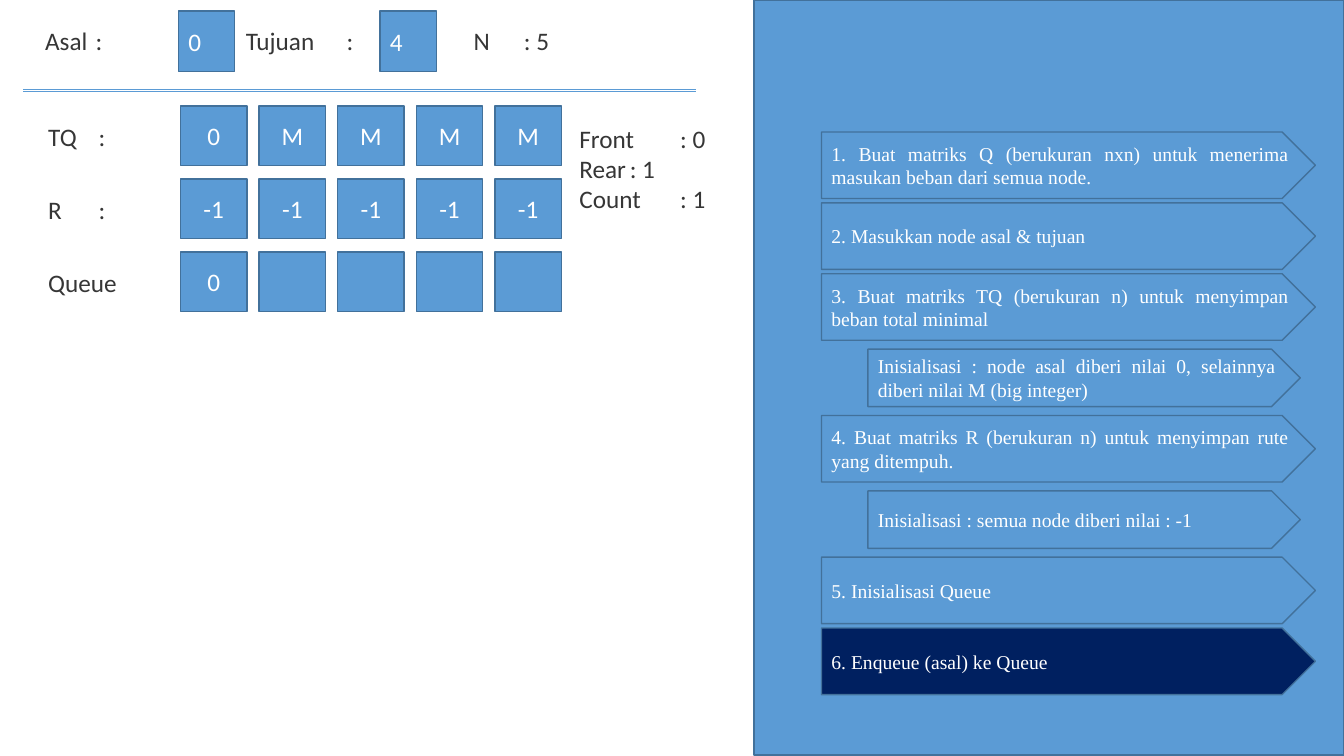
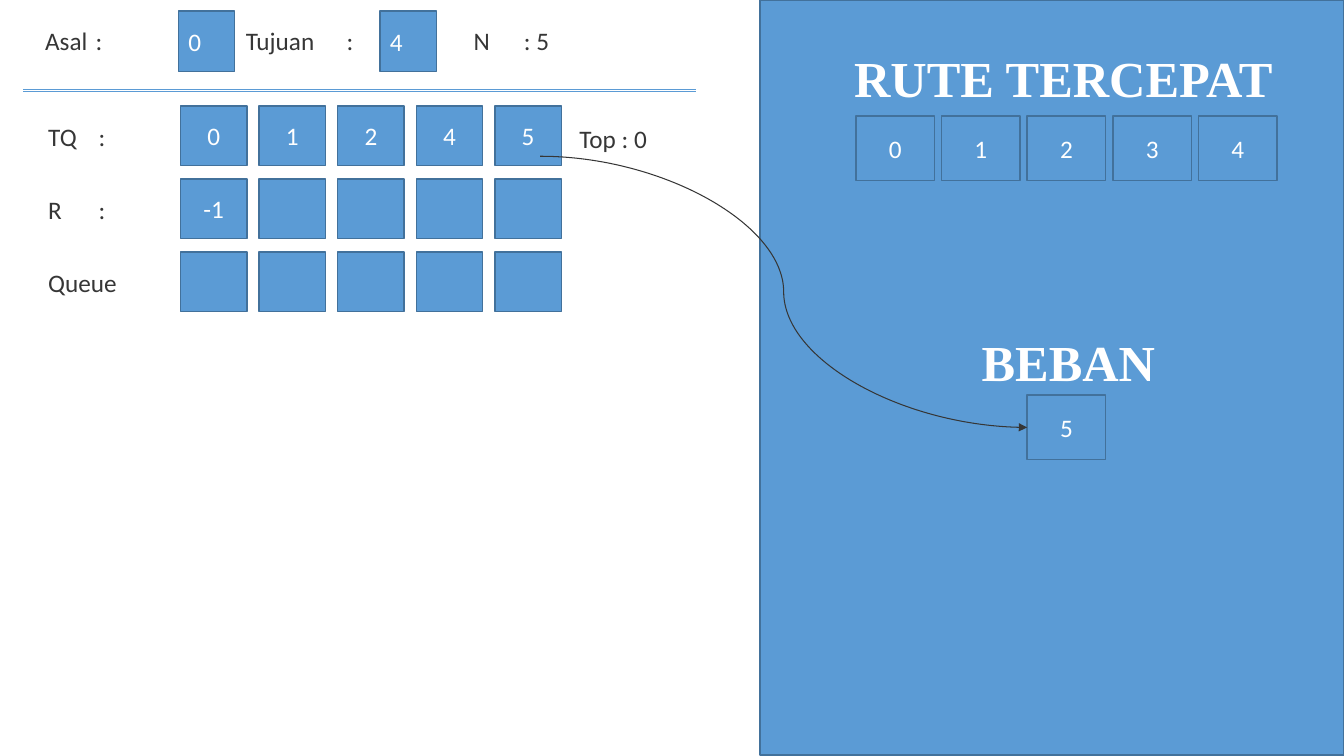
from pptx import Presentation, util as u
from pptx.dml.color import RGBColor
from pptx.enum import shapes, text
from pptx.oxml.ns import qn
from lxml import etree

BLUE = RGBColor(0x5B, 0x9B, 0xD5)
EDGE = RGBColor(0x42, 0x71, 0x9B)
NAVY = RGBColor(0x00, 0x20, 0x60)
DARK = RGBColor(0x36, 0x36, 0x36)
WHITE = RGBColor(0xFF, 0xFF, 0xFF)
SANS, SERIF = "Calibri", "Times New Roman"
RECT, ARROW = shapes.MSO_SHAPE.RECTANGLE, shapes.MSO_SHAPE.PENTAGON
LEFT, MID, FULL = text.PP_ALIGN.LEFT, text.PP_ALIGN.CENTER, text.PP_ALIGN.JUSTIFY

UNIT = u.Inches(0.1)
COLS, ROWS = 133.33, 75
HEAD = (2.3, 0, 66.7, 9)
TABLE = (3.8, 10.5, 52, 20.5)
STATE = (56.5, 11.7, 19, 10)
STEPS = [
    "1. Buat matriks Q (berukuran nxn) untuk menerima masukan beban dari semua node.",
    "2. Masukkan node asal & tujuan",
    "3. Buat matriks TQ (berukuran n) untuk menyimpan beban total minimal",
    "Inisialisasi : node asal diberi nilai 0, selainnya diberi nilai M (big integer)",
    "4. Buat matriks R (berukuran n) untuk menyimpan rute yang ditempuh.",
    "Inisialisasi : semua node diberi nilai : -1",
    "5. Inisialisasi Queue",
    "6. Enqueue (asal) ke Queue",
]


def grid(*sizes):
    return [u.Emu(round(size * UNIT)) for size in sizes]


def inside(box, x, y, w, h):
    return box[0] + x, box[1] + y, w, h


def write(shape, words, font=SANS, size=18, color=DARK, bold=False, align=LEFT,
          anchor=text.MSO_ANCHOR.TOP):
    frame = shape.text_frame
    frame.word_wrap = True
    frame.vertical_anchor = anchor
    frame.text = words
    for para in frame.paragraphs:
        para.alignment = align
        for run in para.runs:
            run.font.name, run.font.size, run.font.bold = font, u.Pt(size), bold
            run.font.color.rgb = color


def label(slide, box, words, **style):
    write(slide.shapes.add_textbox(*grid(*box)), words, **style)


def block(slide, box, words="", kind=RECT, fill=BLUE, **style):
    shape = slide.shapes.add_shape(kind, *grid(*box))
    shape.shadow.inherit = False
    shape.fill.solid()
    shape.fill.fore_color.rgb = fill
    shape.line.color.rgb = EDGE
    shape.line.width = u.Pt(1)
    if words:
        look = dict(color=WHITE, align=MID, anchor=text.MSO_ANCHOR.MIDDLE)
        write(shape, words, **(look | style))
    return shape


def link(slide, start, end, color, kind=shapes.MSO_CONNECTOR.STRAIGHT):
    line = slide.shapes.add_connector(kind, *grid(*start, *end))
    line.line.color.rgb = color
    line.line.width = u.Pt(0.75)
    etree.SubElement(line._element.spPr, qn("a:effectLst"))
    return line


def cells(slide, box, step, values):
    x, y, w, h = box
    for i, value in enumerate(values):
        block(slide, (x + i * step, y, w, h), value)


def header(slide, box):
    for x, words in ((1.2, "Asal\t:"), (21.1, "Tujuan\t:"), (43.7, "N\t: 5")):
        label(slide, inside(box, x, 2, 23, 4), words)
    for x, value in ((15.4, "0"), (35.4, "4")):
        block(slide, inside(box, x, 1.1, 5.6, 6), value, align=LEFT)
    left, top, width, height = box
    for y in (top + height - 0.15, top + height + 0.05):
        link(slide, (left, y), (left + width, y), BLUE)


def table(slide, box, rows):
    for i, (name, values) in enumerate(rows):
        y = i * 7.25
        label(slide, inside(box, 0, y + 1, 14.1, 4), name)
        cells(slide, inside(box, 14.1, y, 6.6, 5.9), 7.8, values)


def steps(slide, box, active):
    for i, words in enumerate(STEPS):
        x, w, h = (6.7, 49, 6.6) if words[0].isdigit() else (11.3, 42.9, 5.7)
        block(slide, inside(box, x, 16.4 + i * 7.03 - h / 2, w, h), words, ARROW,
              NAVY if i == active else BLUE, font=SERIF, size=14, align=FULL)


def result(slide, box, route, cost):
    title = dict(font=SERIF, size=36, color=WHITE, bold=True, align=MID)
    label(slide, inside(box, 6.6, 4.2, 47, 7.1), "RUTE TERCEPAT", **title)
    cells(slide, inside(box, 9.5, 11.5, 7.8, 6.4), 8.5, route)
    label(slide, inside(box, 7.1, 32.4, 47, 7.1), "BEBAN", **title)
    return block(slide, inside(box, 26.5, 39.2, 7.8, 6.4), cost)


def page(deck, left, rows, state):
    slide = deck.slides.add_slide(deck.slide_layouts[6])
    panel = (left, 0, COLS - left, ROWS - 0.1)
    block(slide, panel)
    header(slide, HEAD)
    table(slide, TABLE, rows)
    label(slide, STATE, state)
    return slide, panel


def queue(deck):
    rows = [("TQ\t:", ["0"] + ["M"] * 4), ("R\t:", ["-1"] * 5),
            ("Queue", ["0"] + [""] * 4)]
    slide, panel = page(deck, 74.8, rows, "Front\t: 0\nRear\t: 1\nCount\t: 1")
    steps(slide, panel, len(STEPS) - 1)


def route(deck):
    rows = [("TQ\t:", list("01245")), ("R\t:", ["-1"] + [""] * 4),
            ("Queue", [""] * 5)]
    slide, panel = page(deck, 75.4, rows, "Top : 0")
    goal = result(slide, panel, "01234", "5")
    curve = link(slide, (53.6, 15.5), (101.9, 42.4), DARK, shapes.MSO_CONNECTOR.CURVE)
    curve.end_connect(goal, 1)
    etree.SubElement(curve.line._get_or_add_ln(), qn("a:tailEnd"), type="triangle")


def main():
    deck = Presentation()
    deck.slide_width, deck.slide_height = grid(COLS, ROWS)
    queue(deck)
    route(deck)
    deck.save("out.pptx")


if __name__ == "__main__":
    main()
